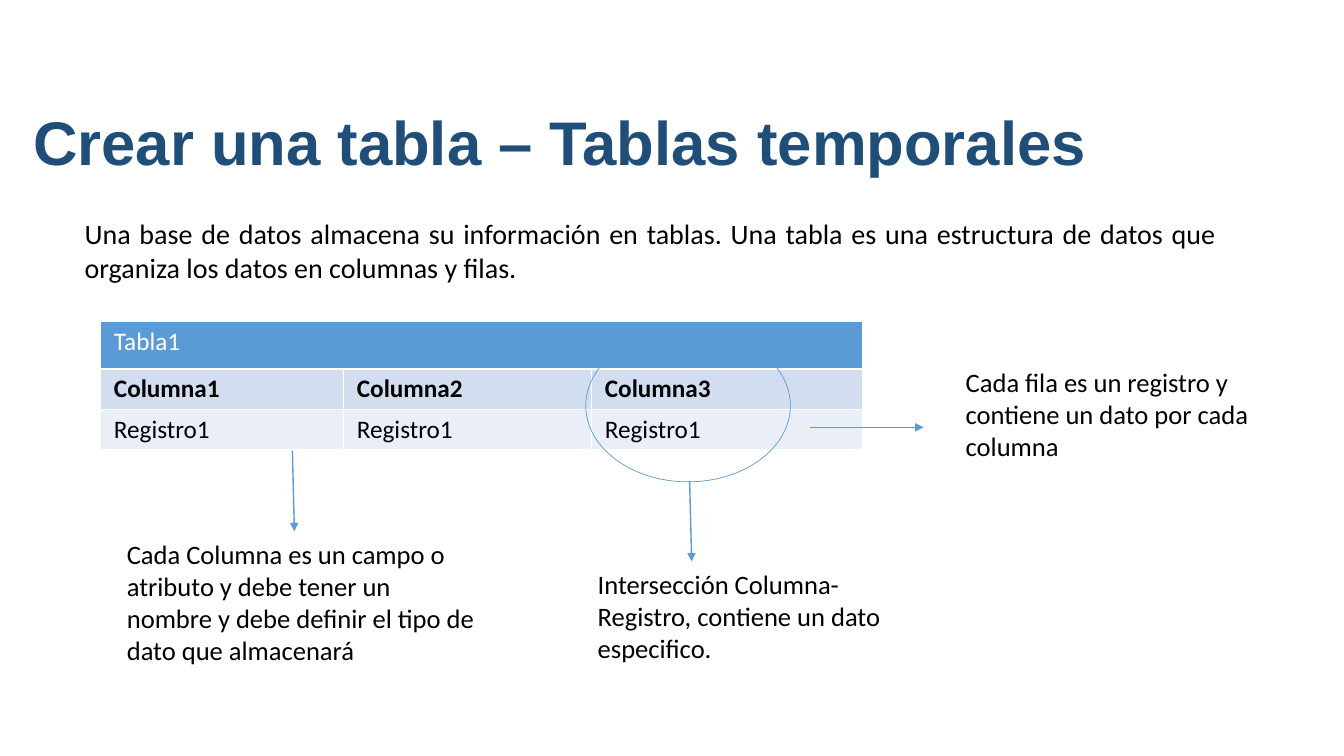
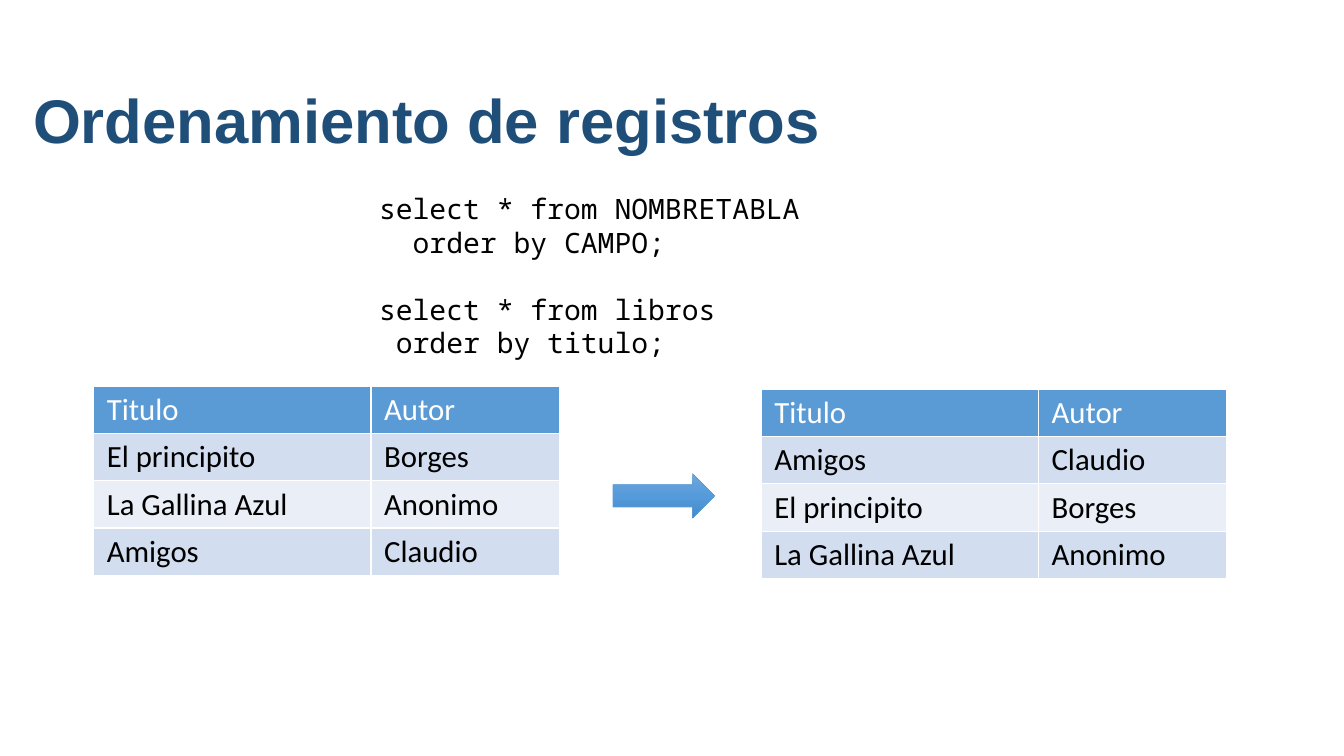
from copy import deepcopy

from lxml.etree import SubElement
from pptx import Presentation
from pptx.dml.color import RGBColor
from pptx.enum.shapes import MSO_CONNECTOR as Connector, MSO_SHAPE as Preset
from pptx.enum.text import MSO_ANCHOR as Anchor, MSO_AUTO_SIZE as AutoSize, PP_ALIGN as Align
from pptx.oxml.ns import qn
from pptx.util import Inches, Pt

NAVY = RGBColor(0x1F, 0x4E, 0x79)
BLUE = RGBColor(0x5B, 0x9B, 0xD5)
BANDS = RGBColor(0xD2, 0xDE, 0xEF), RGBColor(0xEA, 0xEF, 0xF7)
BLACK = RGBColor(0, 0, 0)
WHITE = RGBColor(0xFF, 0xFF, 0xFF)
ARROW_GRADIENT = (
    (0, RGBColor(0x71, 0xA6, 0xDB)),
    (0.5, RGBColor(0x55, 0x9B, 0xDB)),
    (1, RGBColor(0x44, 0x8A, 0xCA)),
)


class Deck:
    """Holds the shared style and the slide being built."""

    def __init__(self):
        self.prs = Presentation()
        self.prs.slide_width, self.prs.slide_height = Inches(13.33), Inches(7.5)
        self.slide = None

    def new_slide(self, title, top):
        self.slide = self.prs.slides.add_slide(self.prs.slide_layouts[6])
        frame = self.text(title, 0.23, top, 12.46, 1.25, 44, "Arial", NAVY, bold=True)
        frame.auto_size = AutoSize.NONE
        frame.vertical_anchor = Anchor.MIDDLE
        frame.paragraphs[0].line_spacing = 0.9

    def style(self, frame, size, font="Calibri", color=BLACK, bold=False):
        for paragraph in frame.paragraphs:
            for run in paragraph.runs:
                run.font.size, run.font.name = Pt(size), font
                run.font.bold, run.font.color.rgb = bold, color

    def text(self, words, left, top, width, height, size=19, font="Calibri",
             color=BLACK, bold=False, align=Align.LEFT):
        box = self.slide.shapes.add_textbox(*map(Inches, (left, top, width, height)))
        frame = box.text_frame
        frame.word_wrap, frame.auto_size = True, AutoSize.SHAPE_TO_FIT_TEXT
        frame.text = words
        for paragraph in frame.paragraphs:
            paragraph.alignment = align
        self.style(frame, size, font, color, bold)
        return frame

    def table(self, rows, left, top, widths, heights, size, bold_rows=()):
        box = map(Inches, (left, top, sum(widths), sum(heights)))
        table = self.slide.shapes.add_table(len(rows), len(widths), *box).table
        table.first_row = table.horz_banding = False
        for column, width in zip(table.columns, widths):
            column.width = Inches(width)
        for r, (row, height) in enumerate(zip(rows, heights)):
            table.rows[r].height = Inches(height)
            for c in range(len(widths)):
                cell = table.cell(r, c)
                self.borders(cell)
                cell.margin_left = cell.margin_right = Inches(0.13)
                cell.fill.solid()
                cell.fill.fore_color.rgb = BANDS[(r - 1) % 2] if r else BLUE
                if c < len(row):
                    cell.text_frame.text = row[c]
                    self.style(cell.text_frame, size, color=BLACK if r else WHITE,
                               bold=r in bold_rows)
            if len(row) < len(widths):
                table.cell(r, len(row) - 1).merge(table.cell(r, len(widths) - 1))

    def borders(self, cell):
        properties = cell._tc.get_or_add_tcPr()
        for side in ("a:lnL", "a:lnR", "a:lnT", "a:lnB"):
            line = SubElement(properties, qn(side), w=str(Pt(1)))
            SubElement(SubElement(line, qn("a:solidFill")), qn("a:srgbClr"), val=str(WHITE))

    def pointer(self, x1, y1, x2, y2):
        ends = map(Inches, (x1, y1, x2, y2))
        pointer = self.slide.shapes.add_connector(Connector.STRAIGHT, *ends)
        pointer.line.color.rgb, pointer.line.width = BLUE, Pt(1)
        SubElement(pointer.line._get_or_add_ln(), qn("a:tailEnd"), type="triangle")
        SubElement(pointer._element.spPr, qn("a:effectLst"))

    def outline(self, preset, left, top, width, height):
        shape = self.slide.shapes.add_shape(preset, *map(Inches, (left, top, width, height)))
        shape.shadow.inherit = False
        shape.fill.background()
        shape.line.color.rgb, shape.line.width = BLUE, Pt(0.5)
        return shape

    def block_arrow(self, left, top, width, height):
        fill = self.outline(Preset.RIGHT_ARROW, left, top, width, height).fill
        fill.gradient()
        fill.gradient_angle = 270
        last = fill.gradient_stops[1]._gs
        last.addprevious(deepcopy(last))
        for stop, (position, color) in zip(fill.gradient_stops, ARROW_GRADIENT):
            stop.position, stop.color.rgb = position, color


def table_slide(deck):
    deck.new_slide("Crear una tabla – Tablas temporales", 0.82)
    deck.text("Una base de datos almacena su información en tablas. Una tabla es una "
              "estructura de datos que organiza los datos en columnas y filas.",
              0.74, 2.1, 11.42, 0.77, 20, align=Align.JUSTIFY)
    columns = [f"Columna{n}" for n in (1, 2, 3)]
    deck.table([["Tabla1"], columns, ["Registro1"] * 3], 1, 3.19,
               (2.41, 2.46, 2.69), (0.47, 0.4, 0.4), 18, bold_rows=(1,))
    deck.pointer(2.9, 4.47, 2.92, 5.27)
    deck.text("Cada Columna es un campo o atributo y debe tener un nombre y debe "
              "definir el tipo de dato que almacenará", 1.16, 5.29, 3.7, 1.38)
    deck.pointer(8.03, 4.24, 9.16, 4.24)
    deck.text("Cada fila es un registro y contiene un dato por cada columna",
              9.48, 3.58, 3.17, 1.06)
    deck.outline(Preset.OVAL, 5.81, 3.27, 2.03, 1.51)
    deck.pointer(6.84, 4.77, 6.86, 5.57)
    deck.text("Intersección Columna-Registro, contiene un dato especifico.",
              5.83, 5.59, 3.1, 1.06)


def order_slide(deck):
    deck.new_slide("Ordenamiento de registros", 0.6)
    code = deck.text("select * from NOMBRETABLA\n  order by CAMPO;\n"
                     "select * from libros\n order by titulo;",
                     3.16, 1.85, 7.67, 1.78, 20, "Noto Sans Mono")
    code.margin_left = Inches(0.6)
    code.paragraphs[2].space_before = Pt(24)
    header = ("Titulo", "Autor")
    books = [("El principito", "Borges"), ("La Gallina Azul", "Anonimo"), ("Amigos", "Claudio")]
    for left, top, listing in ((0.93, 3.83, books), (7.55, 3.86, sorted(books))):
        deck.table([header, *listing], left, top, (2.75, 1.87), [0.47] * 4, 22)
    deck.block_arrow(6.08, 4.7, 1.01, 0.44)


def main():
    deck = Deck()
    table_slide(deck)
    order_slide(deck)
    deck.prs.save("out.pptx")


if __name__ == "__main__":
    main()
